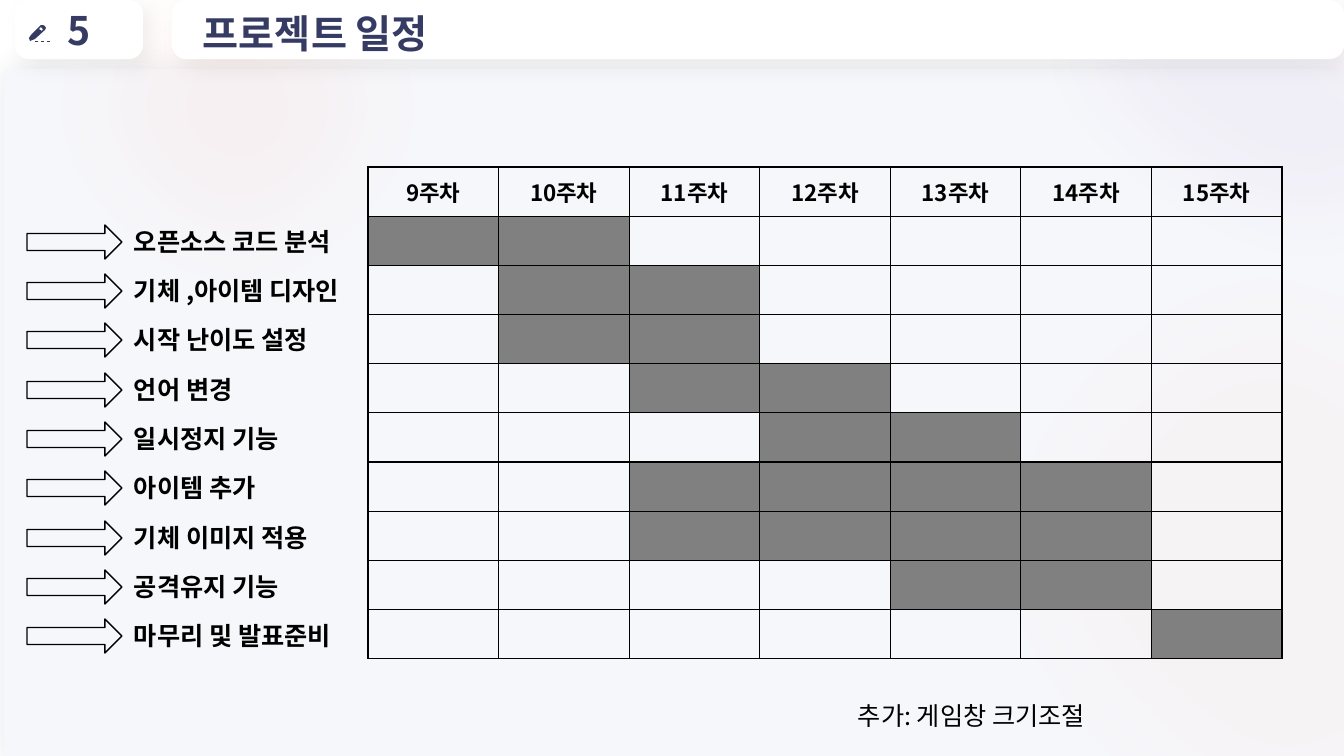
from lxml import etree
from pptx import Presentation
from pptx import util as u
from pptx.dml.color import RGBColor
from pptx.enum import shapes, text
from pptx.oxml.ns import qn

COLORS = {"navy": "363B64", "panel": "F6F7FB", "white": "FFFFFF", "black": "000000",
          "bar": "808080", "coral": "FD9374", "purple": "7030A0", "peach": "FC9974"}
WEEKS = range(9, 16)
TASKS = [("오픈소스 코드 분석", 9, 10), ("기체 ,아이템 디자인", 10, 11),
         ("시작 난이도 설정", 10, 11), ("언어 변경", 11, 12),
         ("일시정지 기능", 12, 13), ("아이템 추가", 11, 14),
         ("기체 이미지 적용", 11, 14), ("공격유지 기능", 13, 14),
         ("마무리 및 발표준비", 15, 15)]
PENCIL = [(30, 41), (35, 39), (45, 30), (46, 28), (45, 26), (43, 25), (41, 25), (31, 35), (29, 38)]
PENCIL_GAP = [(41, 27), (39, 29), (42, 31), (43, 29)]
SHAPE = shapes.MSO_SHAPE
ALIGN = text.PP_ALIGN
ANCHOR = text.MSO_ANCHOR


def px(n):
    return u.Emu(round(n * 914400 / 100.8))


def child(parent, tag, **attrs):
    return etree.SubElement(parent, qn(tag), {k: str(v) for k, v in attrs.items()})


class Deck:
    """Holds the style and the current slide, and draws each kind of element."""

    font = "Noto Sans CJK KR"

    def __init__(self, slide):
        self.s = slide

    def color(self, fmt, name):
        fmt.rgb = RGBColor.from_string(COLORS[name])

    def add_text(self, tf, words, size=18, color="black", bold=True, align=ALIGN.LEFT):
        p = tf.paragraphs[0]
        p.alignment = align
        r = p.add_run()
        r.text = words
        r.font.size, r.font.bold, r.font.name = u.Pt(size), bold, self.font
        self.color(r.font.color, color)
        child(r.font._element, "a:ea", typeface=self.font)

    def paint(self, sp, fill=None, line=None, alpha=None):
        sp.shadow.inherit = False
        if fill:
            sp.fill.solid()
            self.color(sp.fill.fore_color, fill)
        else:
            sp.fill.background()
        if alpha:
            clr = sp._element.spPr.find(".//" + qn("a:srgbClr"))
            child(clr, "a:alpha", val=alpha * 1000)
        if line:
            self.color(sp.line.color, line)
            sp.line.width = u.Pt(1)
        else:
            sp.line.fill.background()

    def shape(self, kind, x, y, w, h, adj=(), **look):
        sp = self.s.shapes.add_shape(kind, px(x), px(y), px(w), px(h))
        for i, value in enumerate(adj):
            sp.adjustments[i] = value
        self.paint(sp, **look)
        return sp

    def shadow(self, sp, color, alpha, blur, dist=0, angle=0):
        effects = sp._element.spPr.find(qn("a:effectLst"))
        sh = child(effects, "a:outerShdw", blurRad=u.Pt(blur), dist=u.Pt(dist),
                   dir=angle * 60000, algn="ctr", rotWithShape=0)
        child(child(sh, "a:srgbClr", val=COLORS[color]), "a:alpha", val=alpha * 1000)

    def glow(self, x, y, w, h, color, alpha, rotation=0):
        sp = self.shape(SHAPE.OVAL, x, y, w, h, fill=color, alpha=alpha)
        sp.rotation = rotation
        child(sp._element.spPr.find(qn("a:effectLst")), "a:softEdge", rad=u.Pt(64))

    def tab(self, x, w):
        sp = self.shape(SHAPE.ROUNDED_RECTANGLE, x, 0, w, 59, adj=[0.24], fill="white")
        self.shadow(sp, "black", 5, 15, 8, 45)
        return sp

    def outline(self, contours, fill):
        first, *rest = contours
        fb = self.s.shapes.build_freeform(*first[0], scale=px(1))
        fb.add_line_segments(first[1:])
        for points in rest:
            fb.move_to(*points[0])
            fb.add_line_segments(points[1:])
        self.paint(fb.convert_to_shape(), fill=fill)

    def dash(self, x, y, w):
        c = self.s.shapes.add_connector(shapes.MSO_CONNECTOR.STRAIGHT,
                                        px(x), px(y), px(x + w), px(y))
        self.color(c.line.color, "navy")
        c.line.width = u.Pt(0.25)
        child(c._element.spPr, "a:effectLst")

    def title(self, words, x, y, w, h):
        sp = self.s.shapes.title
        sp.left, sp.top, sp.width, sp.height = px(x), px(y), px(w), px(h)
        tf = sp.text_frame
        tf.margin_left = tf.margin_right = tf.margin_top = tf.margin_bottom = 0
        tf.auto_size, tf.vertical_anchor = text.MSO_AUTO_SIZE.NONE, ANCHOR.MIDDLE
        self.add_text(tf, words, size=28, color="navy")
        self.s.shapes._spTree.append(sp._element)

    def label(self, words, x, y, w, bold=True):
        tf = self.s.shapes.add_textbox(px(x), px(y), px(w), px(40)).text_frame
        tf.word_wrap, tf.auto_size = True, text.MSO_AUTO_SIZE.SHAPE_TO_FIT_TEXT
        self.add_text(tf, words, bold=bold)

    def cell(self, cell, filled):
        tcPr = cell._tc.get_or_add_tcPr()
        for side in ("a:lnL", "a:lnR", "a:lnT", "a:lnB"):
            ln = child(tcPr, side, w=u.Pt(1))
            child(child(ln, "a:solidFill"), "a:srgbClr", val=COLORS["black"])
        if filled:
            cell.fill.solid()
            self.color(cell.fill.fore_color, "bar")
        else:
            cell.fill.background()

    def schedule(self, x, y, w, h):
        table = self.s.shapes.add_table(len(TASKS) + 1, len(WEEKS),
                                        px(x), px(y), px(w), px(h)).table
        table.first_row = table.horz_banding = False
        for col, week in enumerate(WEEKS):
            head = table.cell(0, col)
            head.vertical_anchor = ANCHOR.MIDDLE
            self.add_text(head.text_frame, f"{week}주차", size=16, align=ALIGN.CENTER)
            self.cell(head, False)
            for row, (_, start, end) in enumerate(TASKS, 1):
                self.cell(table.cell(row, col), start <= week <= end)


def main():
    prs = Presentation()
    prs.slide_width, prs.slide_height = px(1344), px(756)
    d = Deck(prs.slides.add_slide(prs.slide_layouts[5]))

    panel = d.shape(SHAPE.ROUND_2_SAME_RECTANGLE, 4, 69, 1340, 690, adj=[0.02, 0], fill="panel")
    d.shadow(panel, "navy", 10, 18)
    d.glow(0, -129, 473, 471, "coral", 7)
    d.glow(1041, -206, 430, 592, "purple", 4, 291.5)
    d.glow(948, 215, 658, 696, "peach", 4, 339.8)

    number = d.tab(15, 128)
    number.text_frame.vertical_anchor = ANCHOR.MIDDLE
    d.add_text(number.text_frame, "5", size=28, color="navy", align=ALIGN.CENTER)
    d.outline([PENCIL, PENCIL_GAP], "navy")
    for x in (35, 41, 47):
        d.dash(x, 41, 3)
    d.tab(172, 1172)
    d.title("프로젝트 일정", 203, 4, 1120, 57)

    d.schedule(368, 167, 914, 492)
    for i, (task, _, _) in enumerate(TASKS):
        step = i * 148 // 3
        d.label(task, 124, 221 + step, 301)
        d.shape(SHAPE.RIGHT_ARROW, 27, 225 + step, 95, 34, line="black")
    d.label("추가: 게임창 크기조절", 848, 695, 378, bold=False)
    prs.save("out.pptx")


if __name__ == "__main__":
    main()
